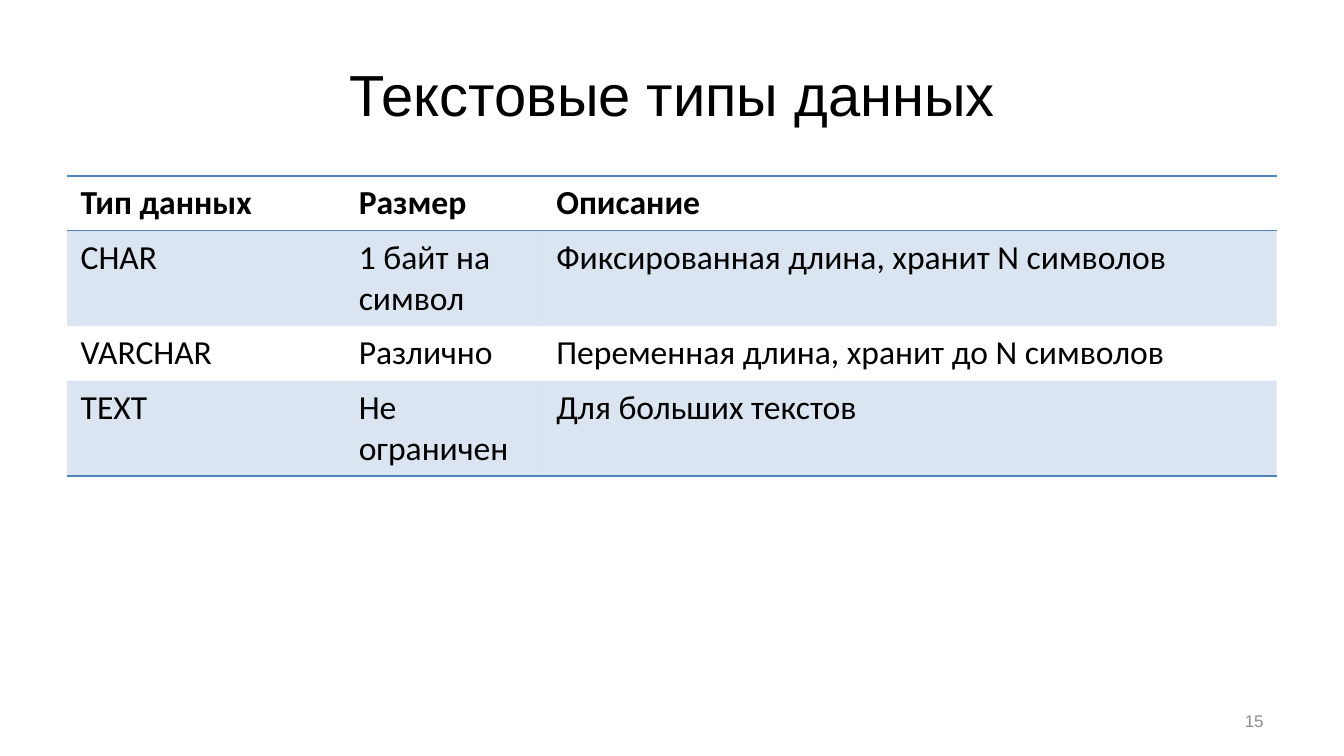
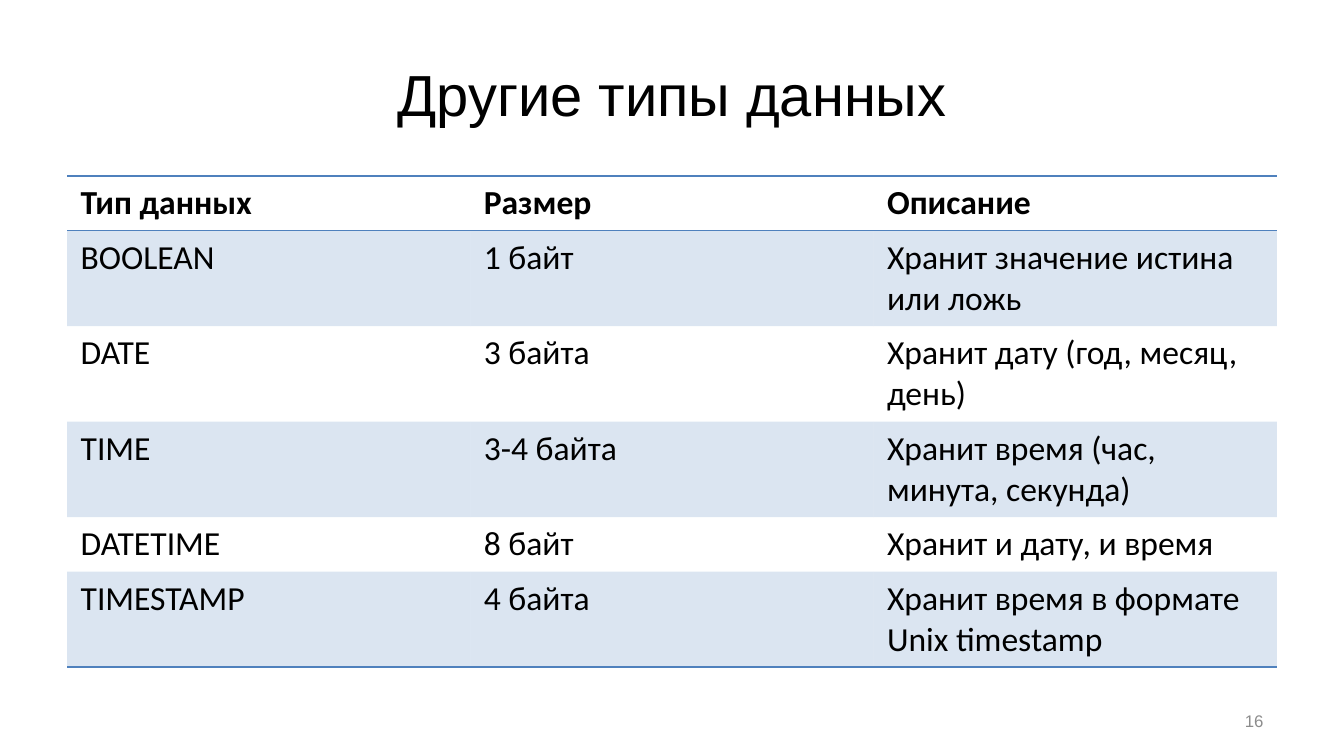
from dataclasses import dataclass

from lxml import etree
from pptx import Presentation
from pptx import util as u
from pptx.dml.color import RGBColor
from pptx.enum import text
from pptx.oxml import ns

HEADER = ("Тип данных", "Размер", "Описание")
SLIDES = [
    {
        "title": "Текстовые типы данных",
        "columns": (414, 294, 1092),
        "row_height": 76,
        "rows": [
            ("CHAR", "1 байт на символ", "Фиксированная длина, хранит N символов"),
            ("VARCHAR", "Различно", "Переменная длина, хранит до N символов"),
            ("TEXT", "Не ограничен", "Для больших текстов"),
        ],
    },
    {
        "title": "Другие типы данных",
        "columns": (600, 600, 600),
        "row_height": 80,
        "rows": [
            ("BOOLEAN", "1 байт", "Хранит значение истина или ложь"),
            ("DATE", "3 байта", "Хранит дату (год, месяц, день)"),
            ("TIME", "3-4 байта", "Хранит время (час, минута, секунда)"),
            ("DATETIME", "8 байт", "Хранит и дату, и время"),
            ("TIMESTAMP", "4 байта", "Хранит время в формате Unix timestamp"),
        ],
    },
]
FIRST_NUMBER = 15

PX = u.Inches(1) // 200
SLIDE_SIZE = (2000, 1125)
TITLE_BOX = (100, 45, 1800, 188)
TABLE_LEFT, TABLE_TOP = 100, 262
NUMBER_BOX = (1434, 1043, 466, 60)
PLAIN_TABLE_STYLE = "{2D5ABB26-0587-4C30-8999-92F81FD0307C}"


@dataclass(frozen=True)
class Theme:
    ink: str = "000000"
    muted: str = "8C8C8C"
    accent: str = "4F81BD"
    band_opacity: int = 20
    rule_pt: int = 1
    heading_font: str = "Arial"
    table_font: str = "Calibri"
    title_pt: int = 31
    table_pt: int = 18
    number_pt: int = 9


THEME = Theme()


def emu(*lengths):
    return [u.Emu(length * PX) for length in lengths]


def style(p, font, size, color, align, bold=False):
    p.alignment = align
    p.font.name = font
    p.font.size = u.Pt(size)
    p.font.color.rgb = RGBColor.from_string(color)
    p.font.bold = bold


def add_rule(cell, side):
    """Draw a cell border; side is T or B."""
    ln = etree.SubElement(cell._tc.get_or_add_tcPr(), ns.qn(f"a:ln{side}"),
                          w=str(u.Pt(THEME.rule_pt)))
    fill = etree.SubElement(ln, ns.qn("a:solidFill"))
    etree.SubElement(fill, ns.qn("a:srgbClr"), val=THEME.accent)


def fill_band(cell):
    cell.fill.solid()
    cell.fill.fore_color.rgb = RGBColor.from_string(THEME.accent)
    color = cell._tc.tcPr.find(ns.qn("a:solidFill"))[0]
    etree.SubElement(color, ns.qn("a:alpha"), val=str(THEME.band_opacity * 1000))


def add_title(slide, title):
    sp = slide.shapes.title
    sp.left, sp.top, sp.width, sp.height = emu(*TITLE_BOX)
    tf = sp.text_frame
    tf.text = title
    tf.auto_size = text.MSO_AUTO_SIZE.NONE
    tf.vertical_anchor = text.MSO_ANCHOR.MIDDLE
    style(tf.paragraphs[0], THEME.heading_font, THEME.title_pt, THEME.ink,
          text.PP_ALIGN.CENTER)


def add_number(slide, number):
    tf = slide.shapes.add_textbox(*emu(*NUMBER_BOX)).text_frame
    tf.word_wrap = True
    tf.vertical_anchor = text.MSO_ANCHOR.MIDDLE
    tf.text = str(number)
    style(tf.paragraphs[0], THEME.heading_font, THEME.number_pt, THEME.muted,
          text.PP_ALIGN.RIGHT)


def add_type_table(slide, columns, row_height, rows):
    rows = [HEADER, *rows]
    box = emu(TABLE_LEFT, TABLE_TOP, sum(columns), row_height * len(rows))
    table = slide.shapes.add_table(len(rows), len(columns), *box).table
    table._tbl.tblPr.find(ns.qn("a:tableStyleId")).text = PLAIN_TABLE_STYLE
    table.horz_banding = False
    for column, width in zip(table.columns, emu(*columns)):
        column.width = width

    for i, values in enumerate(rows):
        is_header = i == 0
        for j, value in enumerate(values):
            cell = table.cell(i, j)
            cell.text = value
            style(cell.text_frame.paragraphs[0], THEME.table_font, THEME.table_pt,
                  THEME.ink, text.PP_ALIGN.LEFT, bold=is_header)
            if is_header:
                add_rule(cell, "T")
            if is_header or i == len(rows) - 1:
                add_rule(cell, "B")
            if i % 2:
                fill_band(cell)
            else:
                cell.fill.background()


def main():
    prs = Presentation()
    prs.slide_width, prs.slide_height = emu(*SLIDE_SIZE)
    title_only = prs.slide_layouts.get_by_name("Title Only")
    for number, content in enumerate(SLIDES, FIRST_NUMBER):
        slide = prs.slides.add_slide(title_only)
        add_title(slide, content["title"])
        add_type_table(slide, content["columns"], content["row_height"], content["rows"])
        add_number(slide, number)
    prs.save("out.pptx")


if __name__ == "__main__":
    main()
